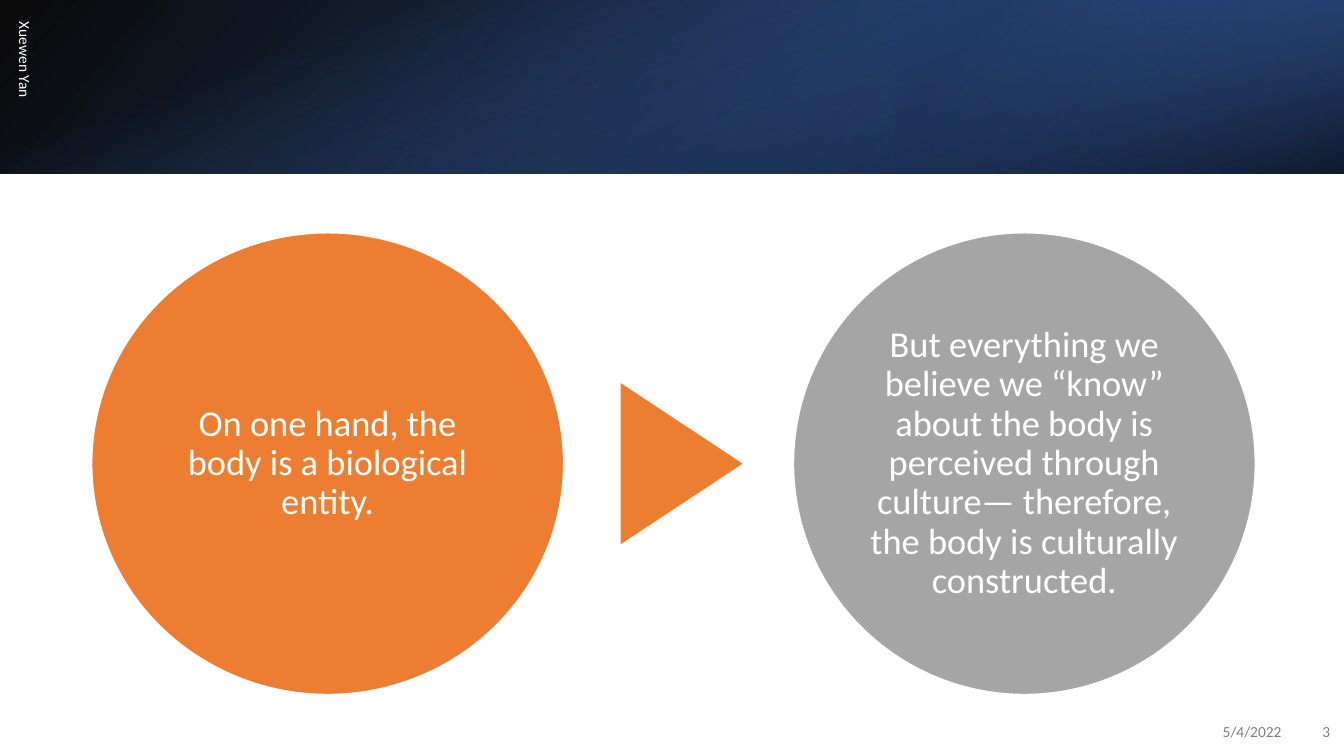
from dataclasses import dataclass

from lxml.etree import SubElement
from pptx import Presentation
from pptx.dml.color import RGBColor
from pptx.enum.shapes import MSO_SHAPE
from pptx.enum.text import MSO_ANCHOR, PP_ALIGN
from pptx.oxml.ns import qn
from pptx.util import Inches, Pt

# Content
STATEMENTS = [
    ("On one hand, the body is a biological entity.", "orange", 0.91, 4.68),
    ("But everything we believe we “know” about the body is perceived through "
     "culture— therefore, the body is culturally constructed.", "gray", 7.87, 4.58),
]
AUTHOR, DATE, SLIDE_NUMBER = "Xuewen Yan", "5/4/2022", "3"


@dataclass(frozen=True)
class Theme:
    font: str = "Calibri"
    body_size: int = 26
    small_size: int = 11
    white: str = "FFFFFF"
    footer: str = "808080"
    orange: str = "ED7D31"
    gray: str = "A5A5A5"
    black: str = "000000"
    blue: str = "4472C4"
    mid_blue: str = "2F5597"
    dark_blue: str = "203864"


THEME = Theme()

# Layout, in inches
WIDTH, HEIGHT = 13.33, 7.5
BAND_HEIGHT = 0.23 * HEIGHT
CIRCLE_TOP, CIRCLE_HEIGHT = 2.31, 4.58
ARROW_WIDTH, ARROW_HEIGHT, ARROW_CENTER = 1.6, 1.21, 6.76
FOOTER_TOP, LABEL_HEIGHT = 7.06, 0.4

# Header layers: width, center x, rotation, flipped, angle, (position, colour, opacity)
HEADER_LAYERS = [
    (WIDTH, BAND_HEIGHT, WIDTH / 2, 0, True, 140,
     [(0, THEME.black, 96), (100, THEME.mid_blue, 100)]),
    (WIDTH / 3, BAND_HEIGHT, WIDTH * 5 / 6, 180, True, 320,
     [(19, THEME.dark_blue, 68), (100, THEME.blue, 79)]),
    (BAND_HEIGHT, WIDTH, WIDTH / 2, 90, False, 340,
     [(23, THEME.blue, 0), (99, THEME.black, 74)]),
]


def add_plain_shape(slide, kind, left, top, width, height):
    shape = slide.shapes.add_shape(
        kind, Inches(left), Inches(top), Inches(width), Inches(height))
    shape.shadow.inherit = False
    shape.line.fill.background()
    return shape


def fill_solid(shape, color):
    shape.fill.solid()
    shape.fill.fore_color.rgb = RGBColor.from_string(color)


def fill_gradient(shape, angle, stops):
    shape.fill.gradient()
    shape.fill.gradient_angle = 360 - angle
    for stop, (position, color, _) in zip(shape.fill.gradient_stops, stops):
        stop.position = position / 100
        stop.color.rgb = RGBColor.from_string(color)
    colors = shape._element.spPr.findall(".//" + qn("a:srgbClr"))
    for color_element, (_, _, opacity) in zip(colors, stops):
        SubElement(color_element, qn("a:alpha")).set("val", str(opacity * 1000))


def write_text(shape, text, size, color, alignment, space_after):
    frame = shape.text_frame
    frame.word_wrap = True
    frame.vertical_anchor = MSO_ANCHOR.MIDDLE
    paragraph = frame.paragraphs[0]
    paragraph.alignment = alignment
    paragraph.space_after = Pt(space_after)
    run = paragraph.add_run()
    run.text = text
    run.font.name = THEME.font
    run.font.size = Pt(size)
    run.font.color.rgb = RGBColor.from_string(color)
    return frame, paragraph


def add_label(slide, text, left, top, width, color, alignment, rotation=0):
    box = slide.shapes.add_textbox(
        Inches(left), Inches(top), Inches(width), Inches(LABEL_HEIGHT))
    box.rotation = rotation
    write_text(box, text, THEME.small_size, color, alignment, 6)


def add_header(slide):
    for width, height, center, rotation, flipped, angle, stops in HEADER_LAYERS:
        layer = add_plain_shape(slide, MSO_SHAPE.RECTANGLE, center - width / 2,
                                (BAND_HEIGHT - height) / 2, width, height)
        layer.rotation = rotation
        if flipped:
            layer._element.spPr.xfrm.set("flipH", "1")
        fill_gradient(layer, angle, stops)


def add_statement(slide, text, color_name, left, width):
    circle = add_plain_shape(
        slide, MSO_SHAPE.OVAL, left, CIRCLE_TOP, width, CIRCLE_HEIGHT)
    fill_solid(circle, getattr(THEME, color_name))
    circle.line.color.rgb = RGBColor.from_string(THEME.white)
    circle.line.width = Pt(1)
    frame, paragraph = write_text(
        circle, text, THEME.body_size, THEME.white, PP_ALIGN.CENTER, 9)
    frame.margin_left = frame.margin_right = Inches(0.04)
    frame.margin_top = frame.margin_bottom = Inches(0.04)
    paragraph.line_spacing = 0.9


def add_arrow(slide):
    middle = CIRCLE_TOP + CIRCLE_HEIGHT / 2
    arrow = add_plain_shape(
        slide, MSO_SHAPE.ISOSCELES_TRIANGLE, ARROW_CENTER - ARROW_WIDTH / 2,
        middle - ARROW_HEIGHT / 2, ARROW_WIDTH, ARROW_HEIGHT)
    arrow.rotation = 90
    fill_solid(arrow, THEME.orange)


def main():
    presentation = Presentation()
    presentation.slide_width = Inches(WIDTH)
    presentation.slide_height = Inches(HEIGHT)
    slide = presentation.slides.add_slide(presentation.slide_layouts[6])

    # Header band with the author's name running down its left edge
    add_header(slide)
    add_label(slide, AUTHOR, -2, 2.17, 4.5, THEME.white, PP_ALIGN.LEFT, 90)

    # Footer
    add_label(slide, DATE, 9.81, FOOTER_TOP, 3, THEME.footer, PP_ALIGN.RIGHT)
    add_label(slide, SLIDE_NUMBER, 12.8, FOOTER_TOP, 0.49, THEME.footer, PP_ALIGN.RIGHT)

    # Two statements joined by an arrow
    first, second = STATEMENTS
    add_statement(slide, *first)
    add_arrow(slide)
    add_statement(slide, *second)

    presentation.save("out.pptx")


if __name__ == "__main__":
    main()
